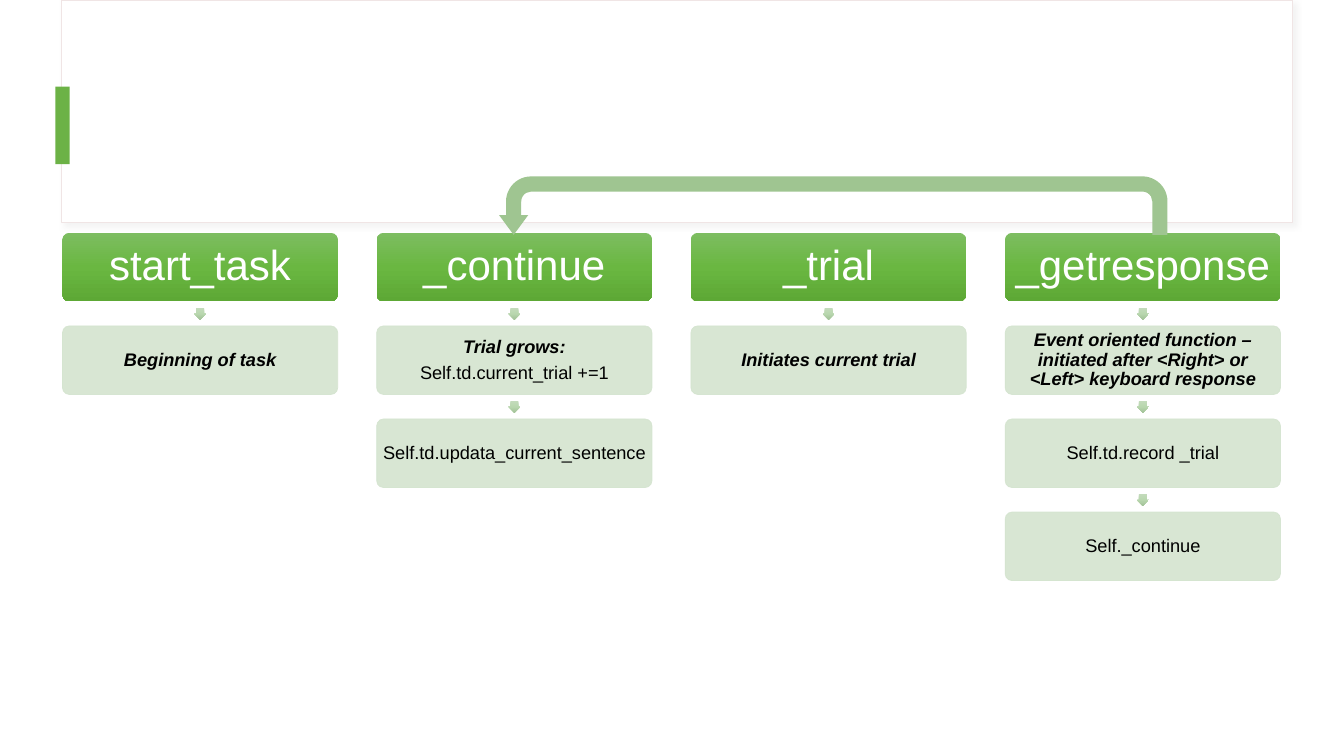
"""Build a slide that shows the flow of a task through four functions."""
from dataclasses import dataclass

from lxml import etree
from pptx import Presentation
from pptx.dml.color import RGBColor
from pptx.enum.shapes import MSO_SHAPE
from pptx.enum.text import MSO_ANCHOR, PP_ALIGN
from pptx.oxml.ns import qn
from pptx.util import Inches, Pt

RECT = MSO_SHAPE.RECTANGLE
ROUND = MSO_SHAPE.ROUNDED_RECTANGLE
ARROW = MSO_SHAPE.RIGHT_ARROW
UTURN = MSO_SHAPE.U_TURN_ARROW
MIDDLE = MSO_ANCHOR.MIDDLE
CENTER = PP_ALIGN.CENTER

FLOWS = [
    ("start_task", [[("Beginning of task", True)]]),
    ("_continue", [
        [("Trial grows:", True), ("Self.td.current_trial +=1", False)],
        [("Self.td.updata_current_sentence", False)],
    ]),
    ("_trial", [[("Initiates current trial", True)]]),
    ("_getresponse", [
        [("Event oriented function – initiated after <Right> or "
          "<Left> keyboard response", True)],
        [("Self.td.record _trial", False)],
        [("Self._continue", False)],
    ]),
]


@dataclass(frozen=True)
class Theme:
    """Colours and type sizes of the slide."""
    font: str = "Arial"
    head: int = 30
    body: int = 13
    white: str = "FFFFFF"
    black: str = "000000"
    edge: str = "F0E5E5"
    shade: str = "D9D9D9"
    mark: str = "6CB246"
    step: str = "D4E4CF"
    loop: str = "9FC591"
    bar: tuple = ("7DBD61", "6AB741", "5DA835")
    link: tuple = ("C3DBBB", "B9D7AF", "A3C299")


THEME = Theme()
LEFT, TOP = 0.62, 2.31
WIDE, HIGH = 2.73, 0.68
COL, ROW = (9.97 - LEFT) / 3, (5.08 - TOP) / 3
TIP = 0.12


def add(slide, kind, box, fill, line=None, width=0.5, adj=()):
    """Add a flat shape with a plain or a graded fill."""
    shape = slide.shapes.add_shape(kind, *map(Inches, box))
    shape.shadow.inherit = False
    if isinstance(fill, tuple):
        grade(shape, fill)
    else:
        shape.fill.solid()
        shape.fill.fore_color.rgb = RGBColor.from_string(fill)
    if line:
        shape.line.color.rgb = RGBColor.from_string(line)
        shape.line.width = Pt(width)
    else:
        shape.line.fill.background()
    for i, value in enumerate(adj):
        shape.adjustments[i] = value
    return shape


def grade(shape, tones):
    """Fill a shape from top to bottom with evenly spaced tones."""
    shape.fill.gradient()
    shape.fill.gradient_angle = 270
    grad = shape._element.spPr.find(qn("a:gradFill"))
    grad.set("rotWithShape", "0")
    stops = grad.find(qn("a:gsLst"))
    for stop in list(stops):
        stops.remove(stop)
    for i, tone in enumerate(tones):
        pos = str(100000 * i // (len(tones) - 1))
        stop = etree.SubElement(stops, qn("a:gs"), pos=pos)
        etree.SubElement(stop, qn("a:srgbClr"), val=tone)


def fade(node, share):
    """Set the opacity of each colour below a node."""
    for tone in node.iter(qn("a:srgbClr")):
        etree.SubElement(tone, qn("a:alpha"), val=str(share * 1000))


def cast(shape):
    """Give a shape a soft shadow."""
    list_ = shape._element.spPr.find(qn("a:effectLst"))
    drop = etree.SubElement(list_, qn("a:outerShdw"), blurRad=str(Pt(4)),
                            dist=str(Pt(3)), dir="2700000", algn="tl",
                            rotWithShape="0")
    etree.SubElement(drop, qn("a:srgbClr"), val=THEME.shade)
    fade(drop, 30)


def write(shape, lines, size, tone, inset):
    """Write centred lines, each a text and its stress."""
    frame = shape.text_frame
    frame.word_wrap = True
    frame.vertical_anchor = MIDDLE
    frame.margin_left = frame.margin_right = Inches(inset)
    frame.margin_top = frame.margin_bottom = Inches(inset)
    for i, (text, stress) in enumerate(lines):
        para = frame.add_paragraph() if i else frame.paragraphs[0]
        para.alignment = CENTER
        para.line_spacing = 0.9
        para.space_after = Pt(0.35 * size)
        run = para.add_run()
        run.text = text
        run.font.name = THEME.font
        run.font.size = Pt(size)
        run.font.bold = run.font.italic = stress
        run.font.color.rgb = RGBColor.from_string(tone)


def draw_flow(slide, left, name, steps):
    """Draw one function and the steps below it."""
    bar = add(slide, ROUND, (left, TOP, WIDE, HIGH), THEME.bar, adj=(0.1,))
    write(bar, [(name, False)], THEME.head, THEME.white, 0.04)
    for i, lines in enumerate(steps, 1):
        top = TOP + i * ROW
        tip_top = top - (ROW - HIGH + TIP) / 2
        tip = add(slide, ARROW, (left + (WIDE - TIP) / 2, tip_top, TIP, TIP),
                  THEME.link, adj=(0.667, 0.5))
        tip.rotation = 90
        card = add(slide, ROUND, (left, top, WIDE, HIGH), THEME.step,
                   THEME.step, adj=(0.1,))
        fade(card._element.spPr, 90)
        write(card, lines, THEME.body, THEME.black, 0.02)


def main():
    """Draw the slide and save it."""
    deck = Presentation()
    deck.slide_width, deck.slide_height = Inches(13.33), Inches(7.5)
    slide = deck.slides.add_slide(deck.slide_layouts[6])
    panel = add(slide, RECT, (0.61, 0, 12.21, 2.21), THEME.white,
                THEME.edge, 0.75)
    cast(panel)
    add(slide, RECT, (0.55, 0.86, 0.14, 0.77), THEME.mark)
    for i, (name, steps) in enumerate(FLOWS):
        draw_flow(slide, LEFT + i * COL, name, steps)
    loop = add(slide, UTURN, (4.95, 1.75, 6.63, 0.58), THEME.loop,
               adj=(0.26, 0.25, 0.339, 0.429, 1))
    loop._element.spPr.find(qn("a:xfrm")).set("flipH", "1")
    deck.save("out.pptx")


if __name__ == "__main__":
    main()
